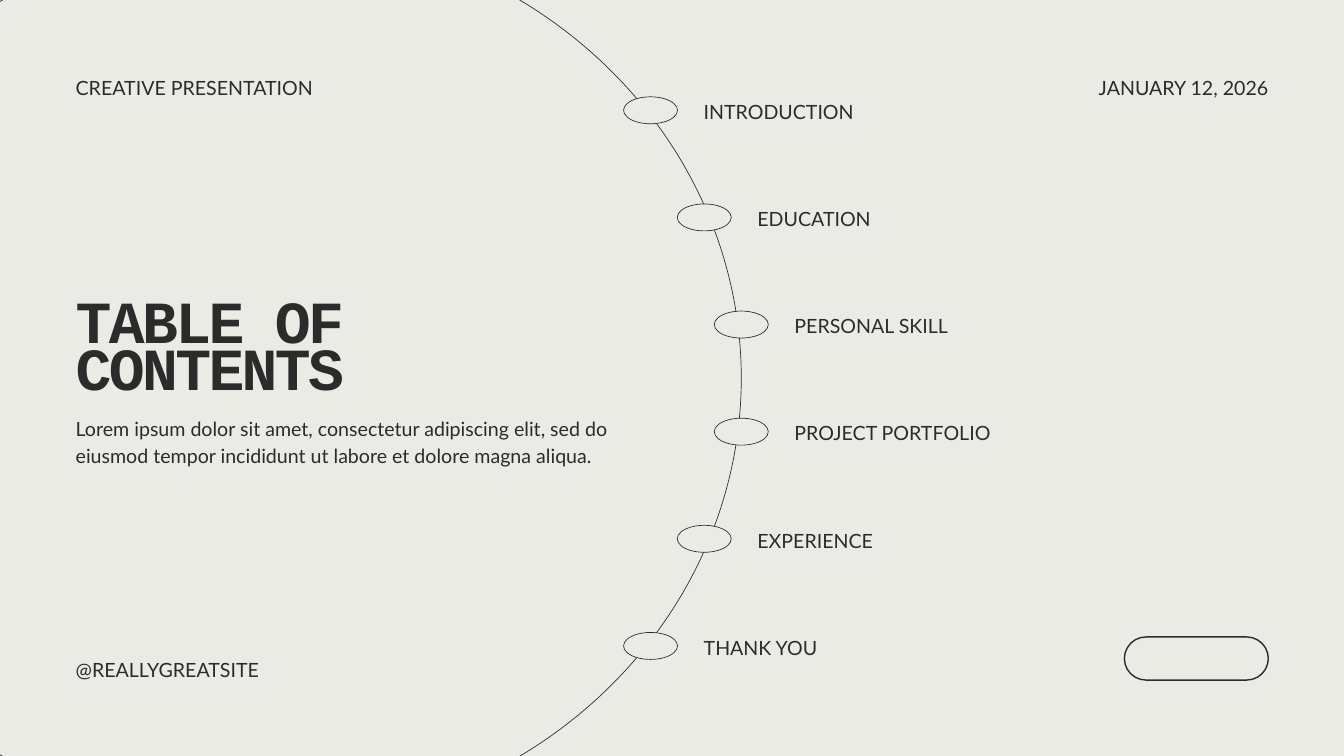
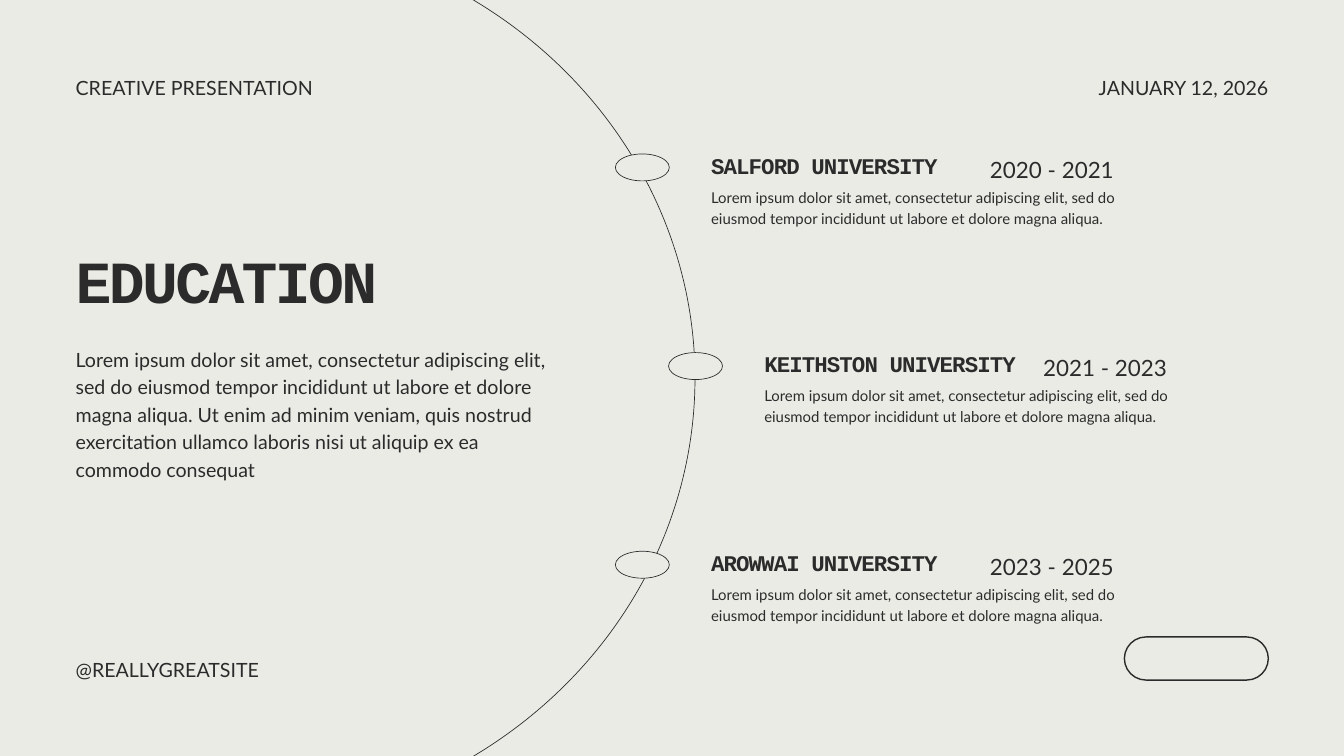
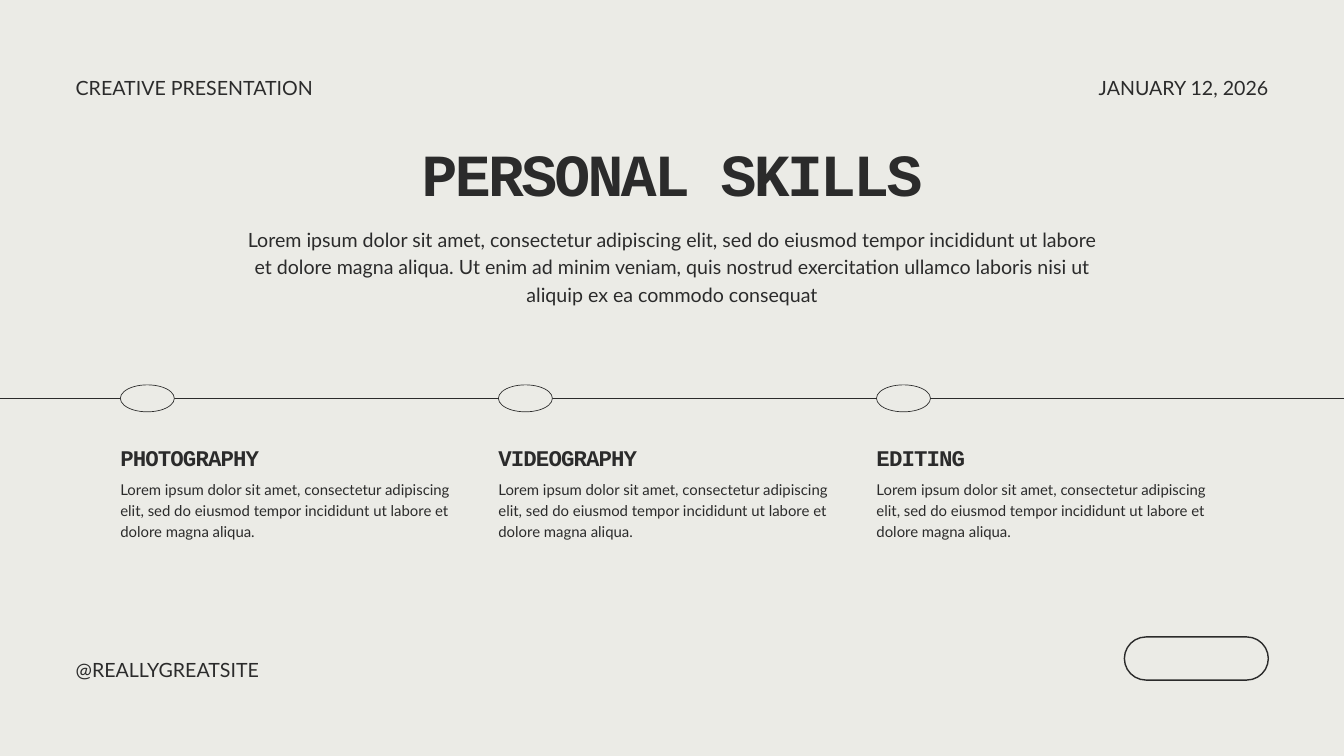
import lxml.etree
import pptx
import pptx.util
import pptx.dml.color
import pptx.enum.shapes
import pptx.enum.text
import pptx.oxml.ns

Cm = pptx.util.Cm
Pt = pptx.util.Pt
Align = pptx.enum.text.PP_ALIGN
Kind = pptx.enum.shapes.MSO_SHAPE

COLORS = {"paper": "EBEBE6", "ink": "2B2B2B"}
FONTS = {"head": "Courier New", "text": "Lato"}
HEAD = {"font": FONTS["head"], "bold": True}
WIDE, HIGH = 50.8, 28.58
EDGE = 2.86
NODE = (2.04, 1.02)
RING = (36.3, 33.93)
SHORT = ("Lorem ipsum dolor sit amet, consectetur adipiscing elit, sed do "
         "eiusmod tempor incididunt ut labore et dolore magna aliqua.")
LONG = SHORT + (" Ut enim ad minim veniam, quis nostrud exercitation ullamco "
                "laboris nisi ut aliquip ex ea commodo consequat")


def color(name):
    return pptx.dml.color.RGBColor.from_string(COLORS[name])


def place(shape, box):
    shape.left, shape.top, shape.width, shape.height = map(Cm, box)


def add(parent, tag):
    lxml.etree.SubElement(parent, pptx.oxml.ns.qn(tag))


def write(shape, text, size=21, lead=29.4, font=FONTS["text"], bold=False,
          track=0, align=Align.LEFT):
    frame = shape.text_frame
    frame.word_wrap = True
    frame.auto_size = pptx.enum.text.MSO_AUTO_SIZE.SHAPE_TO_FIT_TEXT
    frame.vertical_anchor = pptx.enum.text.MSO_ANCHOR.TOP
    frame.margin_left = frame.margin_right = 0
    frame.margin_top = frame.margin_bottom = 0
    para = frame.paragraphs[0]
    para.alignment = align
    para.line_spacing = Pt(lead)
    para.space_before = Pt(0)
    run = para.add_run()
    run.text = text
    run.font.name = font
    run.font.size = Pt(size)
    run.font.bold = bold
    run.font.color.rgb = color("ink")
    if track:
        run._r.get_or_add_rPr().set("spc", str(round(track * 100)))
    return para


def label(slide, text, box, **style):
    write(slide.shapes.add_textbox(*map(Cm, box)), text, **style)


def draw(slide, kind, box, fill=None, width=0.75):
    shape = slide.shapes.add_shape(kind, *map(Cm, box))
    shape.shadow.inherit = False
    if fill:
        shape.fill.solid()
        shape.fill.fore_color.rgb = color(fill)
    else:
        shape.fill.background()
    shape.line.color.rgb = color("ink")
    shape.line.width = Pt(width)
    return shape


def ring(slide, left):
    draw(slide, Kind.OVAL, (left, -2.67, *RING))


def node(slide, x, y):
    wide, high = NODE
    draw(slide, Kind.OVAL, (x - wide / 2, y - high / 2, wide, high), "paper")


def rule(slide, y):
    line = slide.shapes.add_connector(
        pptx.enum.shapes.MSO_CONNECTOR.STRAIGHT, 0, Cm(y), Cm(WIDE), Cm(y))
    line.line.color.rgb = color("ink")
    line.line.width = Pt(0.75)
    add(line._element.spPr, "a:effectLst")


def frame(slide):
    label(slide, "CREATIVE PRESENTATION", (EDGE, 2.74, 10.41, 1))
    label(slide, "JANUARY 12, 2026", (WIDE - EDGE - 10.03, 2.74, 10.03, 1),
          align=Align.RIGHT)
    label(slide, "@REALLYGREATSITE", (EDGE, 24.74, 10.03, 1))
    pill = draw(slide, Kind.ROUNDED_RECTANGLE,
                (WIDE - EDGE - 5.44, 24.08, 5.44, 1.63), width=1.5)
    pill.adjustments[0] = 0.5


def start(deck, title, spot, text, area, align=Align.LEFT):
    slide = deck.slides.add_slide(deck.slide_layouts[1])
    head, body = slide.placeholders
    place(head, spot)
    write(head, title, size=64, lead=49.9, track=-2.8, align=align, **HEAD)
    place(body, area)
    props = write(body, text, align=align)._p.get_or_add_pPr()
    props.set("marL", "0")
    props.set("indent", "0")
    add(props, "a:buNone")
    frame(slide)
    return slide


def entry(slide, name, x, y, wide):
    label(slide, name, (x, y, 9.55, 0.74), size=24, lead=18.7, track=-1, **HEAD)
    label(slide, SHORT, (x, y + 0.91, wide, 1.5), size=16, lead=22.4)


def contents(deck):
    slide = start(deck, "TABLE OF CONTENTS", (EDGE, 11.68, 13.13, 3.71),
                  SHORT, (EDGE, 15.6, 20.7, 2.03))
    ring(slide, -8.28)
    items = [("INTRODUCTION", 24.59), ("EDUCATION", 26.62),
             ("PERSONAL SKILL", 28.02), ("PROJECT PORTFOLIO", 28.02),
             ("EXPERIENCE", 26.62), ("THANK YOU", 24.59)]
    for row, (name, x) in enumerate(items):
        y = 4.17 + row * 4.05
        node(slide, x, y)
        label(slide, name, (x + 2.01, y - 0.54, 11.13, 1))


def study(deck):
    slide = start(deck, "EDUCATION", (EDGE, 10.16, 15.75, 1.96),
                  LONG, (EDGE, 13, 17.81, 5.11))
    ring(slide, -10.03)
    items = [("SALFORD UNIVERSITY", "2020 - 2021", 24.28),
             ("KEITHSTON UNIVERSITY", "2021 - 2023", 26.29),
             ("AROWWAI UNIVERSITY", "2023 - 2025", 24.28)]
    for row, (name, years, x) in enumerate(items):
        y = 6.33 + row * 7.51
        node(slide, x, y)
        entry(slide, name, x + 2.6, y - 0.23, 15.75)
        label(slide, years, (x + 13.14, y - 0.61, 5.21, 1.09),
              size=24, lead=33.6)


def skills(deck):
    slide = start(deck, "PERSONAL SKILLS", (12.2, 6.12, 26.4, 1.96),
                  LONG, (9.25, 8.46, 32.3, 3.05), Align.CENTER)
    y = 15.06
    rule(slide, y)
    for col, name in enumerate(["PHOTOGRAPHY", "VIDEOGRAPHY", "EDITING"]):
        x = 4.55 + col * 14.29
        node(slide, x + NODE[0] / 2, y)
        entry(slide, name, x, y + 2.09, 13.13)


def main():
    deck = pptx.Presentation()
    deck.slide_width, deck.slide_height = Cm(WIDE), Cm(HIGH)
    fill = deck.slide_master.background.fill
    fill.solid()
    fill.fore_color.rgb = color("paper")
    contents(deck)
    study(deck)
    skills(deck)
    deck.save("out.pptx")


if __name__ == "__main__":
    main()
